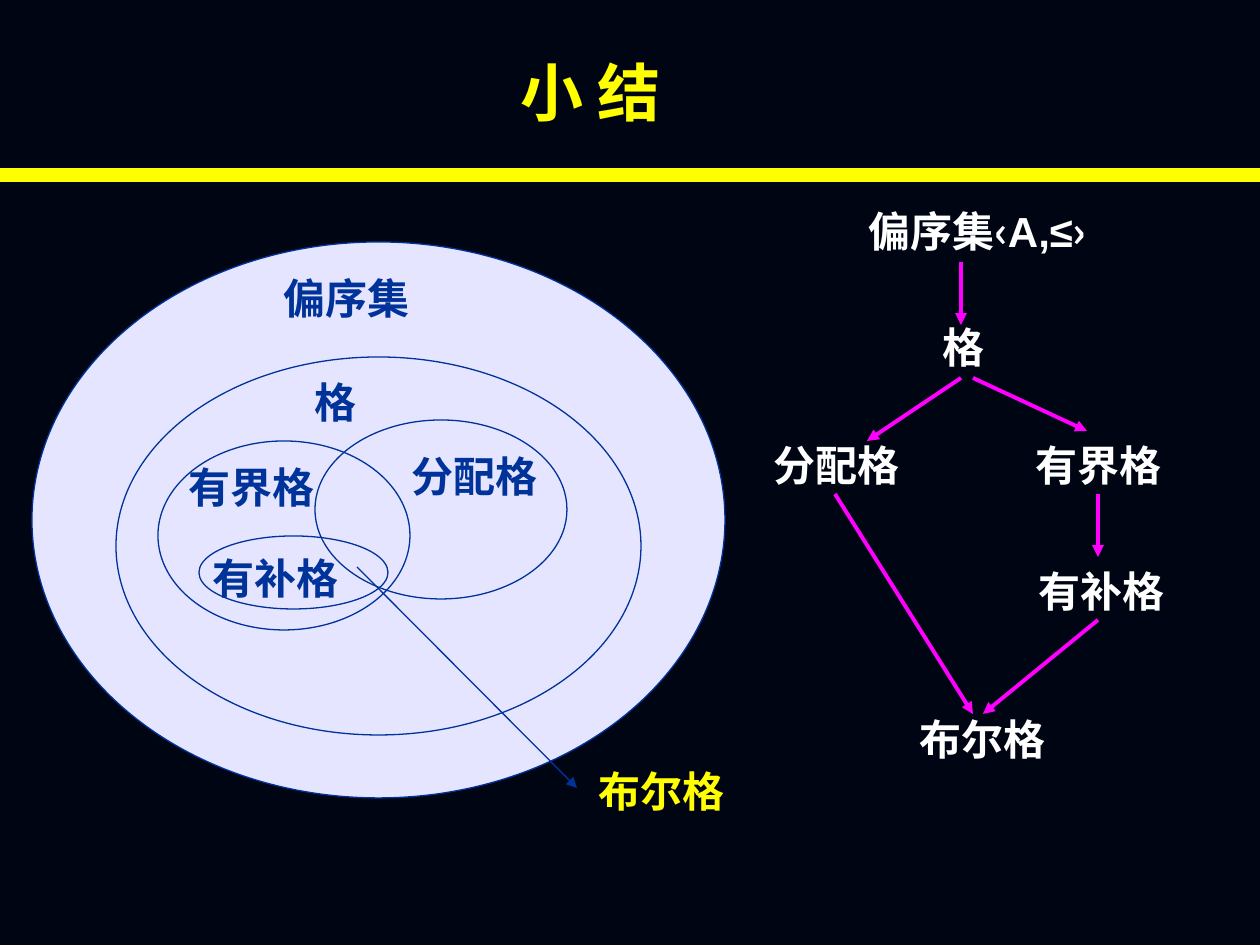
from dataclasses import dataclass

from lxml.etree import SubElement
from pptx import Presentation
from pptx.dml.color import RGBColor
from pptx.enum.shapes import MSO_CONNECTOR, MSO_SHAPE
from pptx.enum.text import MSO_ANCHOR, MSO_AUTO_SIZE, PP_ALIGN
from pptx.oxml.ns import qn
from pptx.util import Emu, Pt

PX = 914400 // 126


@dataclass(frozen=True)
class Theme:
    bg: str = "000514"
    accent: str = "FFFF00"
    tree_text: str = "FFFFFF"
    tree_line: str = "FF00FF"
    set_fill: str = "E5E5FF"
    set_line: str = "003399"
    label_font: str = "Arial"
    title_font: str = "Times New Roman"
    label_size: int = 24
    title_size: int = 36
    rule_width: float = 8
    tree_width: float = 2.25
    set_width: float = 0.75


T = Theme()

TITLE = ("小 结", (323, 47, 535, 88))
RULE = (0, 175, 1260, 175)

# text, left, top, width
TREE_LABELS = [
    ("偏序集‹A,≤›", 856, 199, 278),
    ("格", 930, 315, 67),
    ("分配格", 761, 433, 151),
    ("有界格", 1023, 433, 151),
    ("有补格", 1026, 559, 151),
    ("布尔格", 907, 707, 151),
]
# x and y of the start, x and y of the end
TREE_ARROWS = [
    (961, 262, 961, 325),
    (961, 378, 867, 441),
    (973, 378, 1087, 431),
    (835, 494, 973, 714),
    (1098, 494, 1098, 557),
    (1098, 620, 983, 714),
]
# left, top, width, height, filled
SETS = [
    (32, 242, 693, 556, True),
    (116, 357, 525, 378, True),
    (158, 441, 252, 189, True),
    (315, 420, 252, 179, False),
    (199, 536, 189, 73, False),
]
SET_LABELS = [
    ("偏序集", 271, 266, 151),
    ("格", 302, 370, 67),
    ("分配格", 399, 444, 151),
    ("有界格", 176, 455, 151),
    ("有补格", 200, 546, 151),
]
BOOLEAN_ARROW = (357, 567, 577, 788)
BOOLEAN_LABEL = ("布尔格", 586, 759, 151)
LABEL_HEIGHT = 63


def px(*values):
    return [Emu(v * PX) for v in values]


def rgb(value):
    return RGBColor.from_string(value)


def write(shape, text, font, size, color, wrap=False, align=PP_ALIGN.LEFT):
    tf = shape.text_frame
    tf.word_wrap = wrap
    tf.auto_size = MSO_AUTO_SIZE.NONE
    tf.vertical_anchor = MSO_ANCHOR.TOP
    p = tf.paragraphs[0]
    p.alignment = align
    r = p.add_run()
    r.text = text
    r.font.name = font
    r.font.size = Pt(size)
    r.font.bold = True
    r.font.color.rgb = rgb(color)


def add_label(slide, text, left, top, width, color):
    box = slide.shapes.add_textbox(*px(left, top, width, LABEL_HEIGHT))
    write(box, text, T.label_font, T.label_size, color)


def add_line(slide, ends, color, width, arrow=True):
    line = slide.shapes.add_connector(MSO_CONNECTOR.STRAIGHT, *px(*ends))
    line.line.color.rgb = rgb(color)
    line.line.width = Pt(width)
    if arrow:
        SubElement(line.line._get_or_add_ln(), qn("a:tailEnd"), type="triangle")
    SubElement(line._element.spPr, qn("a:effectLst"))


def add_set(slide, left, top, width, height, filled):
    sp = slide.shapes.add_shape(MSO_SHAPE.OVAL, *px(left, top, width, height))
    sp.shadow.inherit = False
    if filled:
        sp.fill.solid()
        sp.fill.fore_color.rgb = rgb(T.set_fill)
    else:
        sp.fill.background()
    sp.line.color.rgb = rgb(T.set_line)
    sp.line.width = Pt(T.set_width)


def main():
    prs = Presentation()
    prs.slide_width, prs.slide_height = px(1260, 945)
    slide = prs.slides.add_slide(prs.slide_layouts[5])
    slide.background.fill.solid()
    slide.background.fill.fore_color.rgb = rgb(T.bg)

    title = slide.shapes.title
    text, frame = TITLE
    title.left, title.top, title.width, title.height = px(*frame)
    write(title, text, T.title_font, T.title_size, T.accent, True, PP_ALIGN.CENTER)
    add_line(slide, RULE, T.accent, T.rule_width, arrow=False)

    for label in TREE_LABELS:
        add_label(slide, *label, T.tree_text)
    for ends in TREE_ARROWS:
        add_line(slide, ends, T.tree_line, T.tree_width)

    for oval in SETS:
        add_set(slide, *oval)
    for label in SET_LABELS:
        add_label(slide, *label, T.set_line)
    add_line(slide, BOOLEAN_ARROW, T.set_line, T.set_width)
    add_label(slide, *BOOLEAN_LABEL, T.accent)

    prs.save("out.pptx")


if __name__ == "__main__":
    main()
